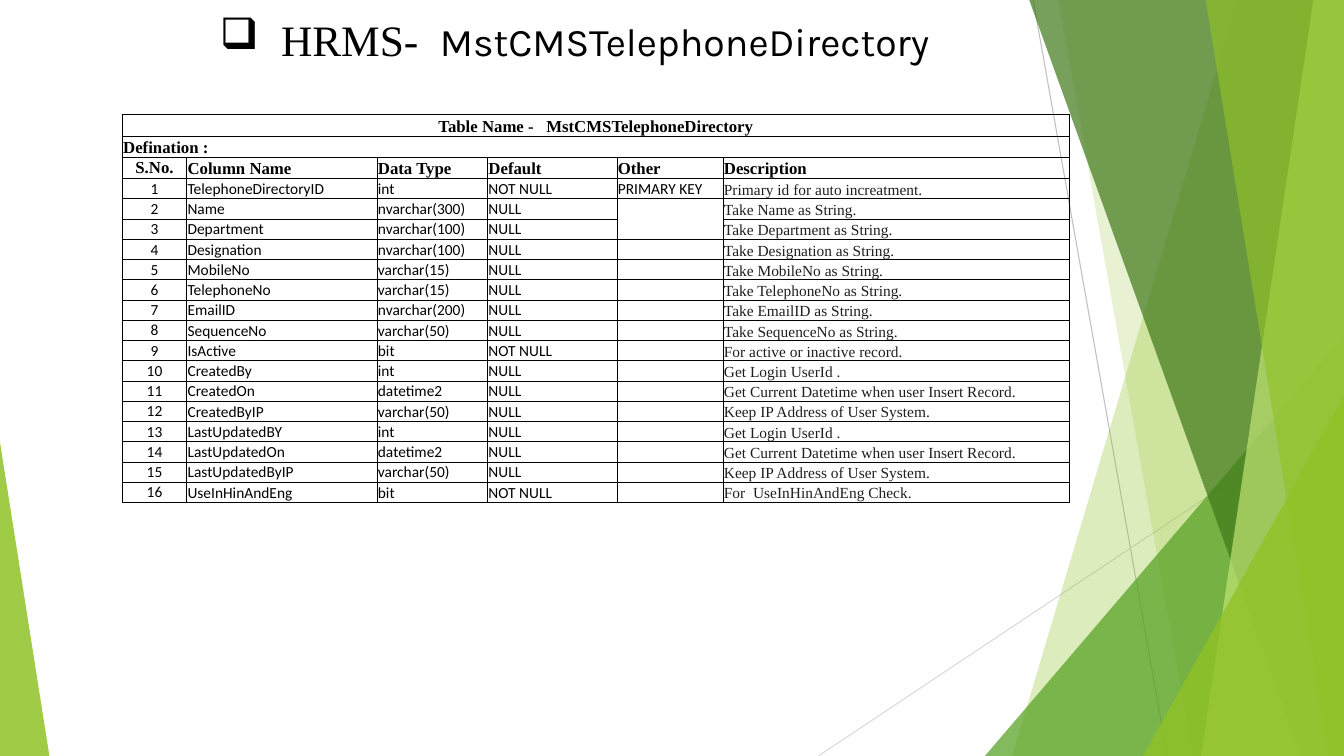
from typing import NamedTuple

from lxml import etree
from pptx import Presentation
from pptx.dml.color import RGBColor
from pptx.enum.shapes import MSO_CONNECTOR, MSO_SHAPE
from pptx.enum.text import MSO_ANCHOR, PP_ALIGN
from pptx.oxml.ns import qn
from pptx.util import Pt

STRAIGHT = MSO_CONNECTOR.STRAIGHT
TRIANGLE = MSO_SHAPE.ISOSCELES_TRIANGLE
CENTER, LEFT = PP_ALIGN.CENTER, PP_ALIGN.LEFT
TOP, MIDDLE, BOTTOM = MSO_ANCHOR.TOP, MSO_ANCHOR.MIDDLE, MSO_ANCHOR.BOTTOM

WIDTH, HEIGHT = 960, 540
SERIF, SANS, TITLE_FONT = "Times New Roman", "Calibri", "Karla"
BLACK, CHARCOAL = "000000", "1F1F1F"
COLUMN_WIDTHS = (46, 136, 79, 92.4, 75.8, 247.6)
HEADER_HEIGHT, BODY_HEIGHT = 15.25, 14.46
OTHER_COLUMN = 4
ALL_SIDES = "LRTB"


class Ray(NamedTuple):
    start: tuple[float, float]
    end: tuple[float, float]
    color: str


class Band(NamedTuple):
    """A full-height area from a slanted left edge to the right of the slide."""
    top_x: float
    bottom_x: float
    color: str
    opacity: int


class Wedge(NamedTuple):
    left: float
    top: float
    width: float
    apex: float
    color: str
    opacity: int


class Style(NamedTuple):
    font: str
    size: float
    color: str = BLACK
    bold: bool = False
    align: PP_ALIGN = LEFT
    anchor: MSO_ANCHOR = BOTTOM


RAYS = (
    Ray((738, 0), (833.8, HEIGHT), "BFBFBF"),
    Ray((WIDTH, 290), (584.6, HEIGHT), "D9D9D9"),
)
DECORATIONS = (
    Band(884, 723, "90C226", 30),
    Band(756, 852, "90C226", 20),
    Wedge(703.5, 240, 256.5, 1, "54A021", 72),
    Band(735.2, 929.5, "3F7819", 70),
    Band(938.2, 858, "C0E474", 70),
    Band(861.2, 949, "90C226", 65),
    Wedge(816.5, 283, 143.5, 1, "90C226", 80),
    Wedge(0, 316, 35.3, 0, "90C226", 85),
)

HEADER = Style(SERIF, 12, bold=True)
HEADER_CENTERED = HEADER._replace(align=CENTER)
BODY = Style(SANS, 11)
NUMBER = BODY._replace(align=CENTER, anchor=MIDDLE)
DESCRIPTION = Style(SERIF, 11, CHARCOAL)
HEADER_STYLES = (HEADER_CENTERED._replace(anchor=MIDDLE),) + (HEADER,) * 5
BODY_STYLES = (NUMBER, BODY, BODY, BODY, BODY, DESCRIPTION)

HEADINGS = ("S.No.", "Column Name", "Data Type", "Default", "Other", "Description")
FIELDS = (
    ("TelephoneDirectoryID", "int", "NOT NULL", "PRIMARY KEY", "Primary id for auto increatment."),
    ("Name", "nvarchar(300)", "NULL", "", "Take Name as String."),
    ("Department", "nvarchar(100)", "NULL", "", "Take Department as String."),
    ("Designation", "nvarchar(100)", "NULL", "", "Take Designation as String."),
    ("MobileNo", "varchar(15)", "NULL", "", "Take MobileNo as String."),
    ("TelephoneNo", "varchar(15)", "NULL", "", "Take TelephoneNo as String."),
    ("EmailID", "nvarchar(200)", "NULL", "", "Take EmailID as String."),
    ("SequenceNo", "varchar(50)", "NULL", "", "Take SequenceNo as String."),
    ("IsActive", "bit", "NOT NULL", "", "For active or inactive record."),
    ("CreatedBy", "int", "NULL", "", "Get Login UserId ."),
    ("CreatedOn", "datetime2", "NULL", "", "Get Current Datetime when user Insert Record."),
    ("CreatedByIP", "varchar(50)", "NULL", "", "Keep IP Address of User System."),
    ("LastUpdatedBY", "int", "NULL", "", "Get Login UserId ."),
    ("LastUpdatedOn", "datetime2", "NULL", "", "Get Current Datetime when user Insert Record."),
    ("LastUpdatedByIP", "varchar(50)", "NULL", "", "Keep IP Address of User System."),
    ("UseInHinAndEng", "bit", "NOT NULL", "", "For  UseInHinAndEng Check."),
)


def rgb(color: str) -> RGBColor:
    return RGBColor.from_string(color)


def draw_ray(page, ray: Ray) -> None:
    line = page.shapes.add_connector(STRAIGHT, *map(Pt, ray.start + ray.end))
    line.line.color.rgb = rgb(ray.color)
    line.line.width = Pt(0.75)
    etree.SubElement(line._element.spPr, qn("a:effectLst"))


def draw_decoration(page, item: Band | Wedge) -> None:
    if isinstance(item, Band):
        builder = page.shapes.build_freeform(Pt(item.top_x), 0)
        corners = ((WIDTH, 0), (WIDTH, HEIGHT), (item.bottom_x, HEIGHT))
        builder.add_line_segments([(Pt(x), Pt(y)) for x, y in corners])
        shape = builder.convert_to_shape()
    else:
        shape = page.shapes.add_shape(TRIANGLE, Pt(item.left), Pt(item.top),
                                      Pt(item.width), Pt(HEIGHT - item.top))
        shape.adjustments[0] = item.apex
    shape.shadow.inherit = False
    shape.line.fill.background()
    shape.fill.solid()
    shape.fill.fore_color.rgb = rgb(item.color)
    solid = shape._element.spPr.find(qn("a:solidFill"))
    etree.SubElement(solid[0], qn("a:alpha"), val=str(item.opacity * 1000))


def format_title(title) -> None:
    title.left, title.top, title.width, title.height = map(Pt, (112.3, 5.8, 596, 44.6))
    frame = title.text_frame
    frame.word_wrap = True
    frame.vertical_anchor = TOP
    para = frame.paragraphs[0]
    para.alignment = CENTER
    properties = para._p.get_or_add_pPr()
    properties.set("marL", str(Pt(36)))
    properties.set("indent", str(Pt(-36)))
    etree.SubElement(properties, qn("a:buChar"), char="❑")
    para.font.color.rgb = rgb(BLACK)
    for text, font, size in ((" HRMS-  ", SERIF, 31), ("MstCMSTelephoneDirectory", TITLE_FONT, 28)):
        span = para.add_run()
        span.text = text
        span.font.name, span.font.size = font, Pt(size)


def set_borders(cell, sides: str) -> None:
    properties = cell._tc.get_or_add_tcPr()
    for side in ALL_SIDES:
        border = etree.SubElement(properties, qn(f"a:ln{side}"), w=str(Pt(0.5)))
        if side in sides:
            fill = etree.SubElement(border, qn("a:solidFill"))
            etree.SubElement(fill, qn("a:srgbClr"), val=BLACK)
        else:
            etree.SubElement(border, qn("a:noFill"))


def fill_cell(cell, text: str, style: Style, sides: str = ALL_SIDES) -> None:
    set_borders(cell, sides)
    cell.fill.background()
    cell.margin_left = cell.margin_top = cell.margin_right = Pt(0.6)
    cell.margin_bottom = 0
    cell.vertical_anchor = style.anchor
    cell.text = text
    para = cell.text_frame.paragraphs[0]
    para.alignment = style.align
    para.font.name, para.font.size = style.font, Pt(style.size)
    para.font.bold = style.bold
    para.font.color.rgb = rgb(style.color)
    if not text:
        etree.SubElement(para._p, qn("a:endParaRPr"), sz=str(int(style.size * 100)))


def draw_table(page) -> None:
    blanks = ("",) * 5
    rows = [
        (("Table Name -   MstCMSTelephoneDirectory", *blanks), (HEADER_CENTERED,) * 6),
        (("Defination :", *blanks), (HEADER,) * 6),
        (HEADINGS, HEADER_STYLES),
    ]
    header_count = len(rows)
    rows += [((str(number), *field), BODY_STYLES) for number, field in enumerate(FIELDS, 1)]
    heights = [HEADER_HEIGHT] * header_count + [BODY_HEIGHT] * len(FIELDS)
    table = page.shapes.add_table(len(rows), len(COLUMN_WIDTHS), Pt(87.4), Pt(81.8),
                                  Pt(sum(COLUMN_WIDTHS)), Pt(sum(heights))).table
    table.first_row = table.horz_banding = False
    for column, width in zip(table.columns, COLUMN_WIDTHS):
        column.width = Pt(width)
    # The second and third fields share one open cell in the "Other" column.
    open_sides = {(header_count + 1, OTHER_COLUMN): "LRT", (header_count + 2, OTHER_COLUMN): "LRB"}
    for row, (texts, styles) in enumerate(rows):
        table.rows[row].height = Pt(heights[row])
        for column, (text, style) in enumerate(zip(texts, styles)):
            fill_cell(table.cell(row, column), text, style, open_sides.get((row, column), ALL_SIDES))
    for row in range(2):
        table.cell(row, 0).merge(table.cell(row, len(COLUMN_WIDTHS) - 1))


def main() -> None:
    deck = Presentation()
    deck.slide_width, deck.slide_height = Pt(WIDTH), Pt(HEIGHT)
    page = deck.slides.add_slide(deck.slide_layouts[5])
    for ray in RAYS:
        draw_ray(page, ray)
    for item in DECORATIONS:
        draw_decoration(page, item)
    format_title(page.shapes.title)
    draw_table(page)
    deck.save("out.pptx")


if __name__ == "__main__":
    main()
